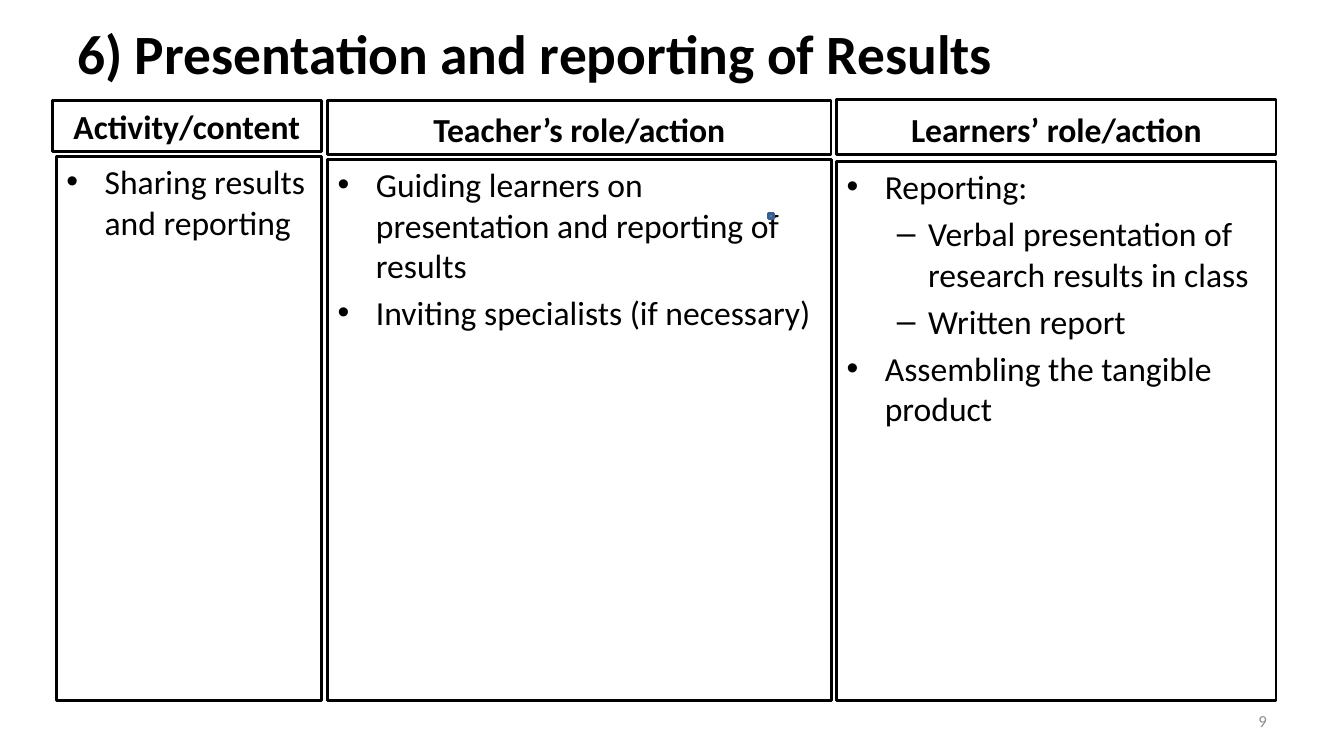
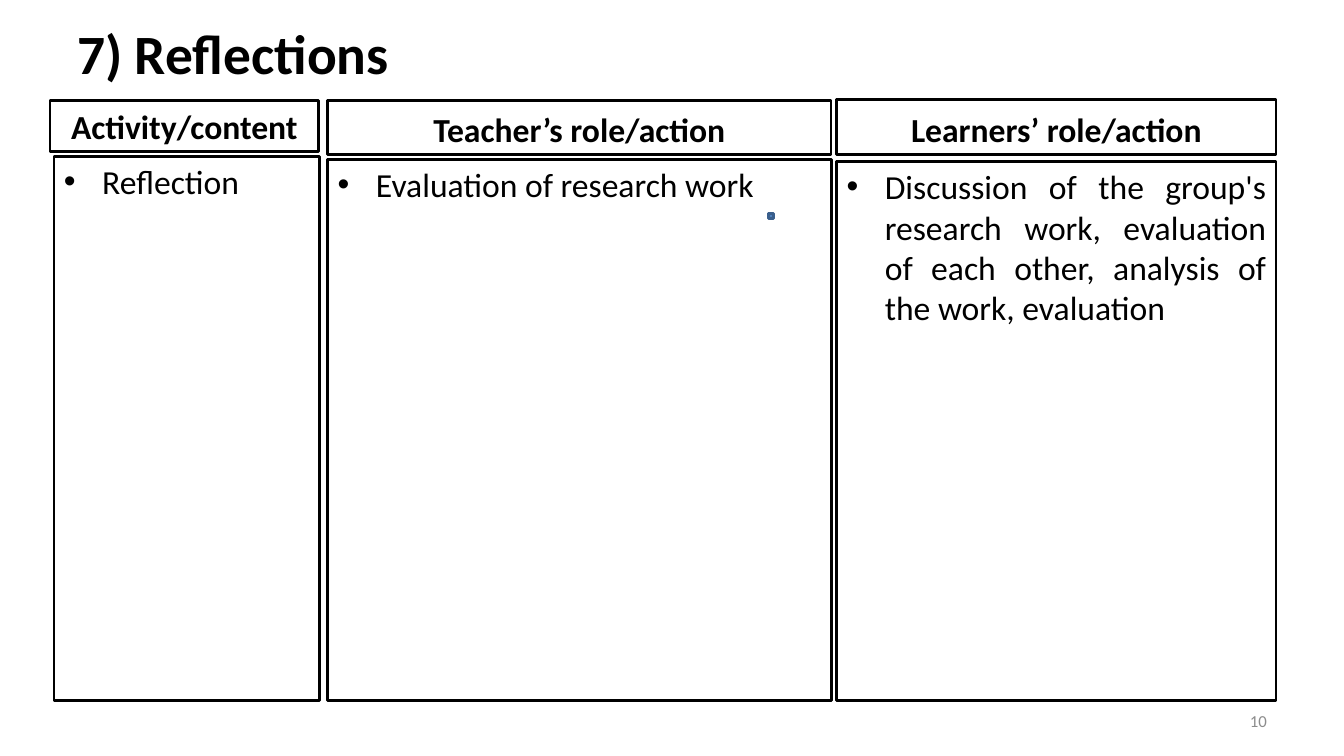
"""Two lesson-plan slides that compare activity, teacher and learner roles."""
from pptx import Presentation
from pptx.dml.color import RGBColor
from pptx.enum.shapes import MSO_SHAPE
from pptx.enum.text import MSO_ANCHOR, PP_ALIGN
from pptx.oxml.ns import qn
from pptx.util import Inches, Pt
from lxml.etree import SubElement

WIDTH, HEIGHT = Inches(13.33), Inches(7.5)
FONT = "Calibri"
COLORS = {"text": "000000", "panel": "FFFFFF", "border": "000000",
          "number": "8C8C8C", "marker": "4F81BD", "marker_line": "3A5F8C"}
BULLETS = [("•", 0.38, -0.38), ("–", 0.81, -0.31)]

TITLE_BOX = (5, 1.73, 90, 10.4)
NUMBER_BOX = (71.7, 92.67, 23.3, 5.33)
MARKER_BOX = (57.15, 28.27, 0.38, 0.67)
PANEL_BOTTOM = 92.67
COLUMNS = [
    {"name": "Activity/content", "head": (3.9, 13.33, 20, 6.67),
     "body": (4.2, 20.67, 19.73)},
    {"name": "Teacher’s role/action", "head": (24.38, 13.33, 37.45, 7.07),
     "body": (24.38, 21.07, 37.5)},
    {"name": "Learners’ role/action", "head": (62.25, 13.2, 32.7, 7.2),
     "body": (62.25, 21.33, 32.7)},
]
SLIDES = [
    {"title": "6) Presentation and reporting of Results", "number": 9,
     "first_shift": 0, "aligns": [PP_ALIGN.LEFT] * 3,
     "cells": [
         [(0, "Sharing results and reporting")],
         [(0, "Guiding learners on presentation and reporting of results"),
          (0, "Inviting specialists (if necessary)")],
         [(0, "Reporting:"),
          (1, "Verbal presentation of research results in class"),
          (1, "Written report"),
          (0, "Assembling the tangible product")]]},
    {"title": "7) Reflections", "number": 10, "first_shift": -0.18,
     "aligns": [PP_ALIGN.LEFT, PP_ALIGN.LEFT, PP_ALIGN.JUSTIFY],
     "cells": [
         [(0, "Reflection")],
         [(0, "Evaluation of research work")],
         [(0, "Discussion of the group's research work, evaluation of each "
              "other, analysis of the work, evaluation")]]},
]


def place(box):
    """Turn percentages of the slide into lengths."""
    x, y, w, h = box
    return (int(WIDTH * x / 100), int(HEIGHT * y / 100),
            int(WIDTH * w / 100), int(HEIGHT * h / 100))


def set_bullet(p, level):
    """Give a paragraph the bullet and hanging indent of its level."""
    char, margin, indent = BULLETS[level]
    p.level = level
    pPr = p._p.get_or_add_pPr()
    pPr.set("marL", str(Inches(margin)))
    pPr.set("indent", str(Inches(indent)))
    SubElement(pPr, qn("a:buFont")).set("typeface", "Arial")
    SubElement(pPr, qn("a:buChar")).set("char", char)


def write(sp, items, size=24, color="text", bold=False, align=PP_ALIGN.LEFT,
          anchor=MSO_ANCHOR.MIDDLE, before=0):
    """Write (level, text) items into a shape; level None means no bullet."""
    tf = sp.text_frame
    tf.word_wrap = True
    tf.vertical_anchor = anchor
    for i, (level, text) in enumerate(items):
        p = tf.add_paragraph() if i else tf.paragraphs[0]
        p.alignment = align
        p.space_before = Pt(before)
        if level is not None:
            set_bullet(p, level)
        r = p.add_run()
        r.text = text
        r.font.name = FONT
        r.font.size = Pt(size)
        r.font.bold = bold
        r.font.color.rgb = RGBColor.from_string(COLORS[color])


def add_label(s, box, text, **fmt):
    """Add a one-line text box."""
    write(s.shapes.add_textbox(*place(box)), [(None, text)], **fmt)


def add_panel(s, box, fill="panel", line="border"):
    """Add a filled and outlined rectangle."""
    sp = s.shapes.add_shape(MSO_SHAPE.RECTANGLE, *place(box))
    sp.shadow.inherit = False
    sp.fill.solid()
    sp.fill.fore_color.rgb = RGBColor.from_string(COLORS[fill])
    sp.line.color.rgb = RGBColor.from_string(COLORS[line])
    sp.line.width = Pt(2)
    return sp


def add_column(s, column, items, align, shift):
    """Add a heading panel and the bulleted panel below it."""
    x, y, w, h = column["head"]
    write(add_panel(s, (x + shift, y, w, h)), [(None, column["name"])],
          bold=True, align=PP_ALIGN.CENTER, anchor=MSO_ANCHOR.BOTTOM,
          before=4.8)
    x, y, w = column["body"]
    write(add_panel(s, (x + shift, y, w, PANEL_BOTTOM - y)), items,
          align=align, anchor=MSO_ANCHOR.TOP, before=4.8)


def add_slide(prs, content):
    """Build one slide from its content."""
    s = prs.slides.add_slide(prs.slide_layouts[6])
    add_label(s, TITLE_BOX, content["title"], size=39.6, bold=True)
    shifts = (content["first_shift"], 0, 0)
    for args in zip(COLUMNS, content["cells"], content["aligns"], shifts):
        add_column(s, *args)
    add_label(s, NUMBER_BOX, str(content["number"]), size=12,
              color="number", align=PP_ALIGN.RIGHT)
    add_panel(s, MARKER_BOX, fill="marker", line="marker_line")


def main():
    """Build and save the presentation."""
    prs = Presentation()
    prs.slide_width, prs.slide_height = WIDTH, HEIGHT
    for content in SLIDES:
        add_slide(prs, content)
    prs.save("out.pptx")


if __name__ == "__main__":
    main()
